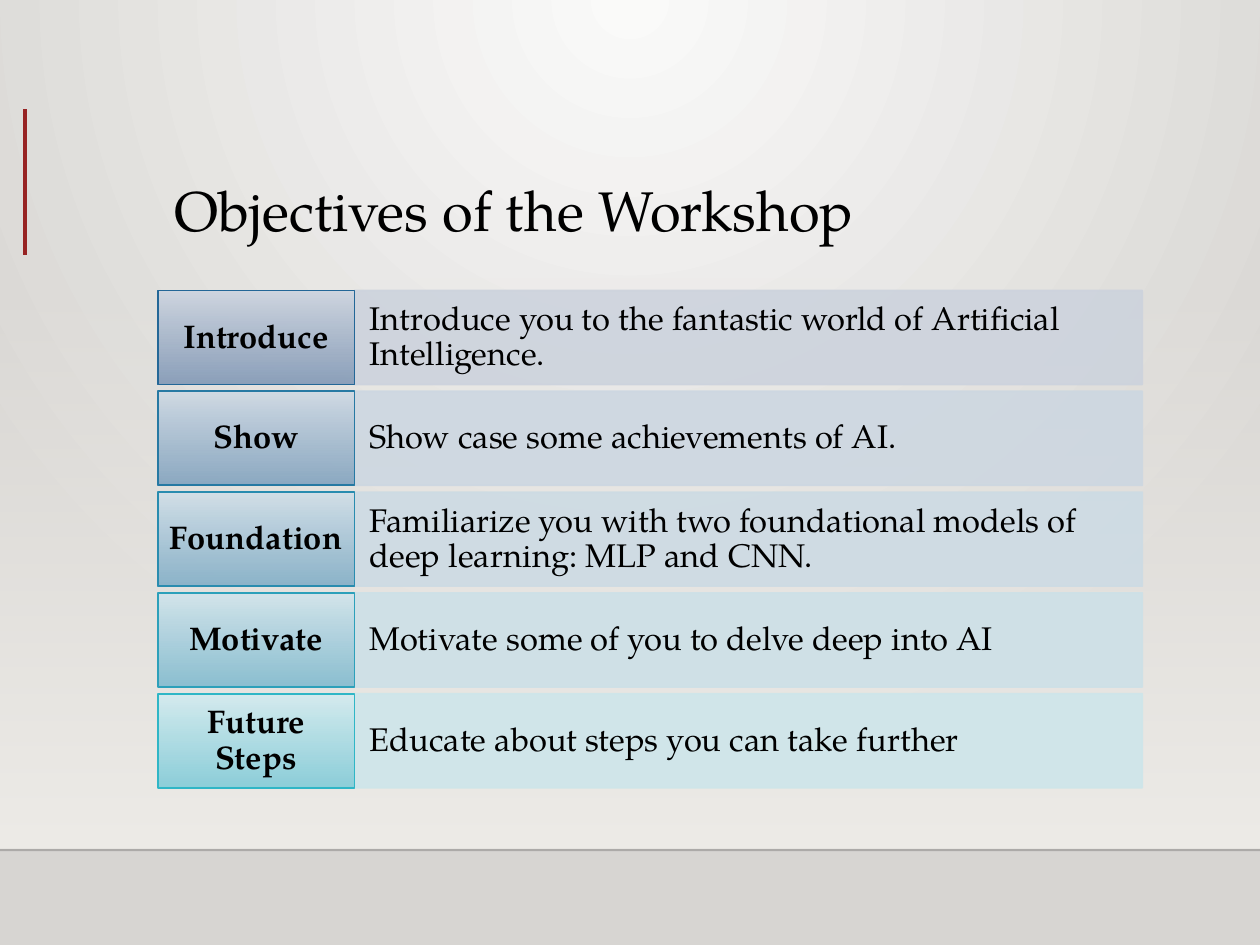
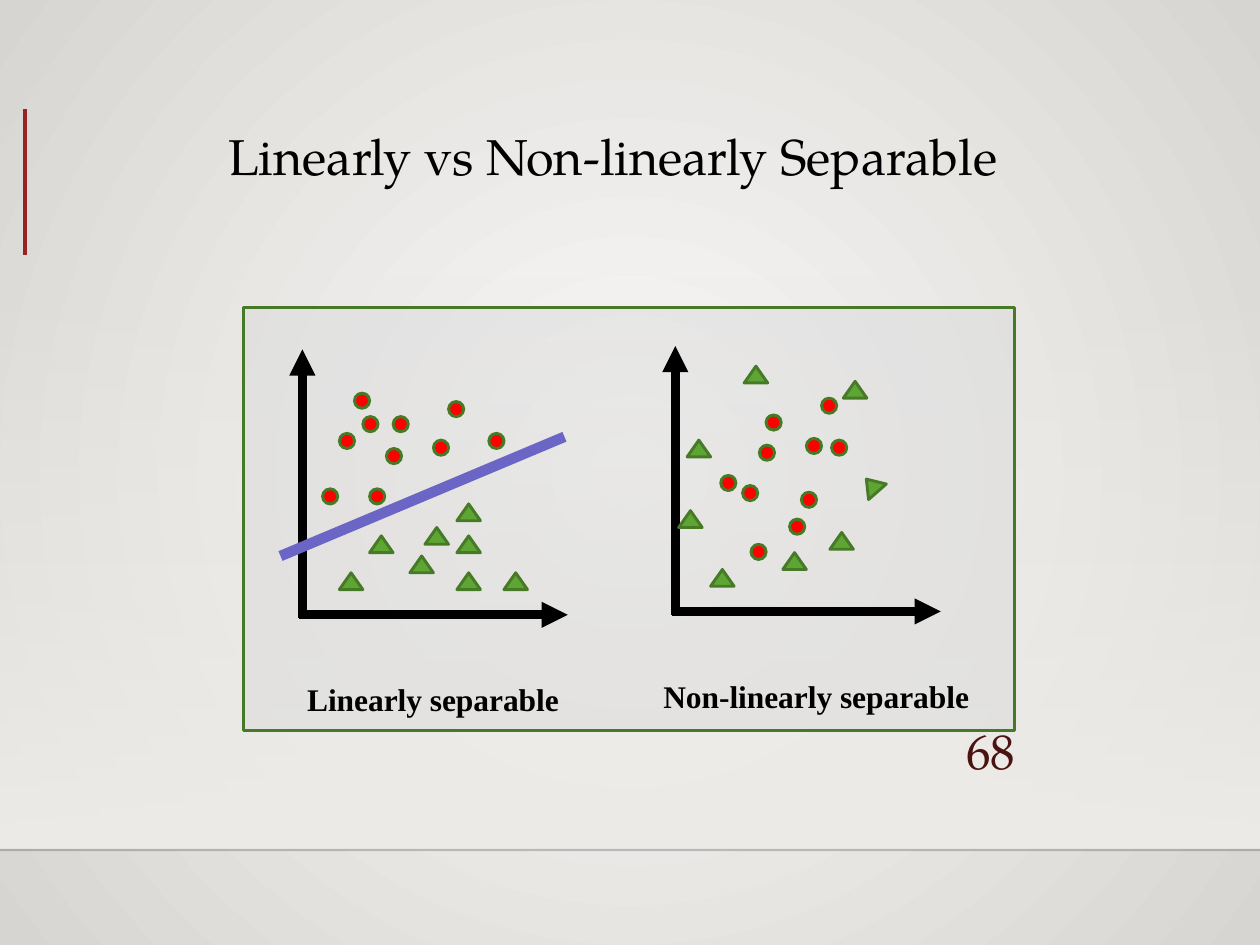
from dataclasses import dataclass

from lxml import etree
from pptx import Presentation
from pptx import util as u
from pptx.dml import color
from pptx.enum import shapes, text
from pptx.oxml import ns


@dataclass(frozen=True)
class Theme:
    """Colours, fonts and type sizes of the deck."""
    serif: str = "TeX Gyre Pagella"
    label_font: str = "Times New Roman"
    ink: str = "000000"
    light: str = "FAFAF9"
    dark: str = "D7D5D2"
    band: str = "EDEBE7"
    rule: str = "000001"
    accent: str = "972323"
    number: str = "4C1212"
    panel: str = "DADADA"
    outline: str = "467A26"
    dot: str = "FF0000"
    triangle: str = "5FA534"
    separator: str = "6B66C6"
    title_size: float = 24
    small_title_size: float = 21.6
    number_size: float = 21
    body_size: float = 14
    label_size: float = 13.5


T = Theme()
SHAPE = shapes.MSO_SHAPE
ALIGN = text.PP_ALIGN
ANCHOR = text.MSO_ANCHOR

OBJECTIVES = [
    ("Introduce", "Introduce you to the fantastic world of Artificial Intelligence.",
     "CDD3DD", "CED5DF", "849AB7", "236797"),
    ("Show", "Show case some achievements of AI.",
     "CDD7E1", "CFD9E3", "84A4BF", "2679A3"),
    ("Foundation", "Familiarize you with two foundational models of deep learning: MLP and CNN.",
     "CDDBE4", "D1DEE7", "84AFC7", "298CAF"),
    ("Motivate", "Motivate some of you to delve deep into AI",
     "CDE0E7", "D3E4EB", "84BCCF", "2CA0BA"),
    ("Future Steps", "Educate about steps you can take further",
     "CEE5EA", "D5EBEF", "85CCD8", "2FB6C6"),
]

LINEAR_DOTS = [(2.02, 2.58), (2.3, 2.67), (2.11, 2.34), (2.58, 2.62), (2.34, 2.48),
               (2.16, 2.48), (1.92, 2.91), (2.2, 2.91), (2.67, 2.39), (2.91, 2.58)]
LINEAR_TRIANGLES = [(2.44, 3.31), (2.72, 3.41), (2.53, 3.14), (2.72, 3.19),
                    (3, 3.41), (2.72, 3), (2.02, 3.41), (2.2, 3.19)]
MIXED_DOTS = [(4.77, 2.93), (4.52, 2.65), (4.29, 2.83), (4.8, 2.61), (4.56, 2.47),
              (4.7, 3.09), (4.47, 3.24), (4.42, 2.89), (4.89, 2.37), (4.95, 2.62)]
MIXED_TRIANGLES = [(4.66, 3.29), (5.12, 2.84, 318.8), (5.02, 2.27), (4.94, 3.17),
                   (4.43, 2.18), (4.09, 2.62), (4.23, 3.39), (4.04, 3.04)]


def rgb(code):
    """Turn a hex code into a colour."""
    return color.RGBColor.from_string(code)


def fade(el, *percents):
    """Set the opacity of the first colours in an element, in order."""
    for clr, pct in zip(el.iter(ns.qn("a:srgbClr")), percents):
        etree.SubElement(clr, ns.qn("a:alpha"), val=str(pct * 1000))


def paint(fill, colours):
    """Fill with one colour, or with a downward gradient of two."""
    if isinstance(colours, str):
        fill.solid()
        fill.fore_color.rgb = rgb(colours)
        return
    fill.gradient()
    fill.gradient_angle = 270
    for stop, code in zip(fill.gradient_stops, colours):
        stop.color.rgb = rgb(code)


def add_shape(s, kind, box, fill, line=None, width=1.25):
    """Add a preset shape without shadow."""
    sp = s.shapes.add_shape(kind, *map(u.Inches, box))
    sp.shadow.inherit = False
    paint(sp.fill, fill)
    if line:
        sp.line.color.rgb = rgb(line)
        sp.line.width = u.Pt(width)
    else:
        sp.line.fill.background()
    return sp


def add_line(s, start, end, colour, width, arrow=False):
    """Add a straight line, with an arrowhead at its end if asked."""
    cx = s.shapes.add_connector(shapes.MSO_CONNECTOR.STRAIGHT, *map(u.Inches, start + end))
    cx.line.color.rgb = rgb(colour)
    cx.line.width = u.Pt(width)
    if arrow:
        ln = next(cx.element.iter(ns.qn("a:ln")))
        etree.SubElement(ln, ns.qn("a:tailEnd"), type="triangle")
    etree.SubElement(cx.element.spPr, ns.qn("a:effectLst"))
    return cx


def write(sp, words, size, colour=T.ink, font=T.serif, bold=False, align=ALIGN.LEFT,
          anchor=ANCHOR.TOP, insets=(0.1, 0.05), spacing=1.0, wrap=True):
    """Put one formatted paragraph into a shape."""
    tf = sp.text_frame
    tf.word_wrap = wrap
    tf.vertical_anchor = anchor
    tf.margin_left = tf.margin_right = u.Inches(insets[0])
    tf.margin_top = tf.margin_bottom = u.Inches(insets[1])
    p = tf.paragraphs[0]
    p.text = words
    p.alignment = align
    p.line_spacing = spacing
    p.font.name = font
    p.font.size = u.Pt(size)
    p.font.bold = bold
    p.font.color.rgb = rgb(colour)


def add_text(s, box, words, size, **style):
    """Add a text box."""
    write(s.shapes.add_textbox(*map(u.Inches, box)), words, size, **style)


def add_slide(prs, focus):
    """Add a slide with the radial background, the band and the rules."""
    s = prs.slides.add_slide(prs.slide_layouts[6])
    paint(s.background.fill, (T.light, T.dark))
    lin = next(s.element.iter(ns.qn("a:lin")))
    radial = etree.Element(ns.qn("a:path"), path="circle")
    etree.SubElement(radial, ns.qn("a:fillToRect"),
                     {side: str(pct * 1000) for side, pct in zip("ltrb", focus)})
    lin.getparent().replace(lin, radial)
    band = add_shape(s, SHAPE.RECTANGLE, (0, 1.65, 7.5, 3.4), (T.band, T.band))
    fade(band.element, 0, 100)
    fade(add_line(s, (0, 5.06), (7.5, 5.06), T.rule, 1).element, 20)
    add_line(s, (0.15, 0.65), (0.15, 1.52), T.accent, 1.75)
    return s


def add_title(s, box, words, size):
    """Add the slide title."""
    add_text(s, box, words, size, anchor=ANCHOR.BOTTOM, spacing=0.9)


def add_objective(s, top, name, detail, pale, light, deep, edge):
    """Add one row: a named card and its description."""
    row = add_shape(s, SHAPE.RECTANGLE, (2.11, top, 4.69, 0.56), pale, pale, 0.75)
    fade(row.element, 90, 90)
    write(row, detail, T.body_size, anchor=ANCHOR.MIDDLE, insets=(0.09, 0.05), spacing=0.9)
    card = add_shape(s, SHAPE.RECTANGLE, (0.94, top, 1.17, 0.56), (light, deep), edge, 0.75)
    fade(card.element, 100, 92)
    write(card, name, T.body_size, bold=True, align=ALIGN.CENTER,
          anchor=ANCHOR.MIDDLE, insets=(0.06, 0.06), spacing=0.9)


def add_axes(s, x, y):
    """Add a pair of axes that cross at a point."""
    length, overlap = 1.58, 0.02
    add_line(s, (x, y + overlap), (x, y - length), T.ink, 3.75, arrow=True)
    add_line(s, (x - overlap, y), (x + length, y), T.ink, 3.75, arrow=True)


def add_marks(s, kind, size, colour, spots):
    """Add the points of one class; a spot may carry a rotation."""
    for x, y, *turn in spots:
        sp = add_shape(s, kind, (x, y, *size), colour, T.outline)
        sp.rotation = turn[0] if turn else 0


def add_points(s, dots, triangles):
    """Add both classes of points."""
    add_marks(s, SHAPE.OVAL, (0.09, 0.09), T.dot, dots)
    add_marks(s, SHAPE.ISOSCELES_TRIANGLE, (0.14, 0.1), T.triangle, triangles)


def add_label(s, box, words):
    """Add the caption of a plot."""
    add_text(s, box, words, T.label_size, font=T.label_font, bold=True, wrap=False)


def objectives_slide(prs):
    """Build the list of objectives."""
    s = add_slide(prs, (43, 0, 43, 100))
    add_title(s, (0.94, 0.85, 5.86, 0.65), "Objectives of the Workshop", T.title_size)
    for i, objective in enumerate(OBJECTIVES):
        add_objective(s, 1.73 + 0.6 * i, *objective)


def separable_slide(prs):
    """Build the comparison of two scatter plots."""
    s = add_slide(prs, (50, 50, 50, 50))
    panel = add_shape(s, SHAPE.RECTANGLE, (1.45, 1.83, 4.59, 2.52), T.panel, T.outline)
    fade(panel.element, 48)
    add_title(s, (1.26, 0.66, 5.31, 0.5), "Linearly vs Non-linearly Separable",
              T.small_title_size)
    add_text(s, (4.83, 4.24, 1.31, 0.22), "68", T.number_size,
             colour=T.number, align=ALIGN.RIGHT)
    add_axes(s, 1.8, 3.66)
    add_line(s, (1.67, 3.31), (3.36, 2.6), T.separator, 4.5)
    add_label(s, (1.73, 4, 1.72, 0.33), "Linearly separable")
    add_points(s, LINEAR_DOTS, LINEAR_TRIANGLES)
    add_axes(s, 4.02, 3.64)
    add_label(s, (3.85, 3.98, 2.05, 0.33), "Non-linearly separable")
    add_points(s, MIXED_DOTS, MIXED_TRIANGLES)


def main():
    """Build and save the deck."""
    prs = Presentation()
    prs.slide_width = u.Inches(7.5)
    prs.slide_height = prs.slide_width * 3 // 4
    objectives_slide(prs)
    separable_slide(prs)
    prs.save("out.pptx")


if __name__ == "__main__":
    main()
